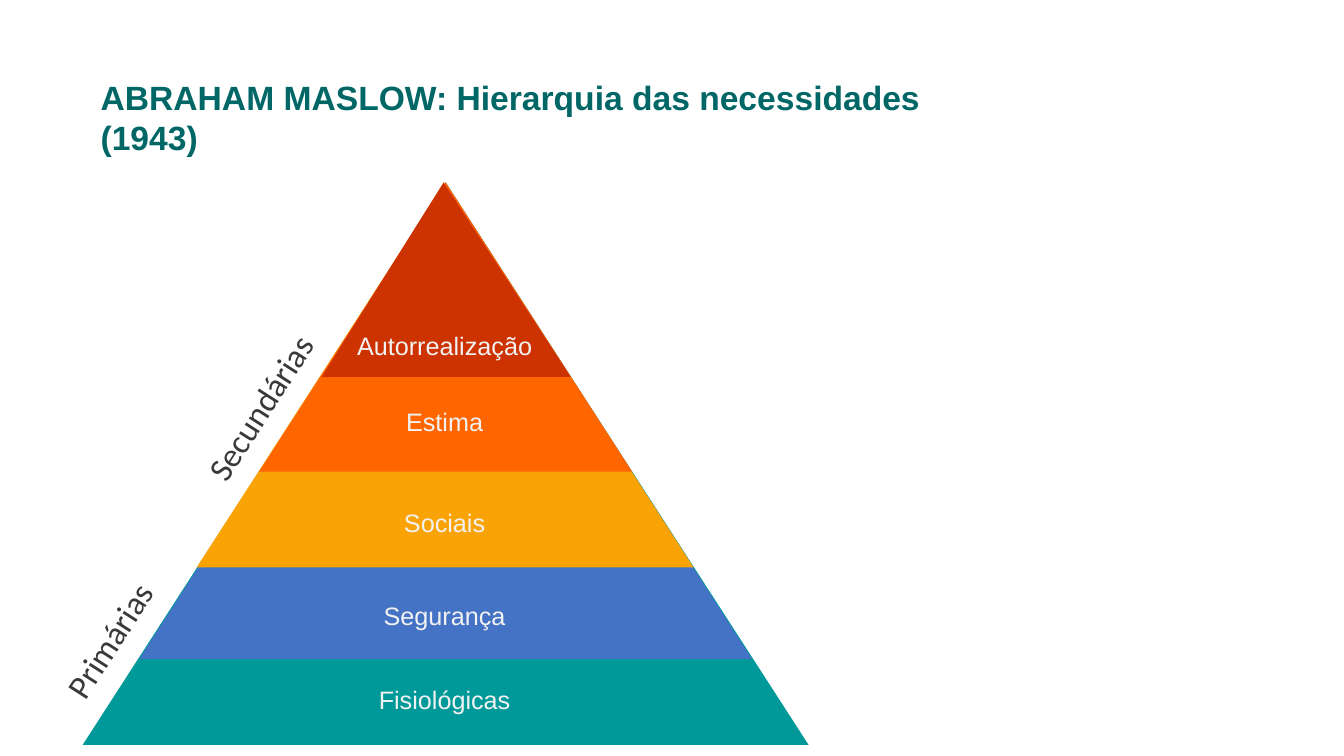
from dataclasses import dataclass

from pptx import Presentation
from pptx.dml.color import RGBColor
from pptx.enum.shapes import MSO_SHAPE as Shape
from pptx.enum.text import MSO_ANCHOR as Anchor, MSO_AUTO_SIZE as AutoSize, PP_ALIGN as Align
from pptx.slide import Slide
from pptx.util import Inches, Pt


@dataclass(frozen=True)
class Theme:
    title: str = "006666"
    level_text: str = "F2F2F2"
    group_text: str = "3A3838"
    font: str = "Arial"
    group_font: str = "Calibri"
    large: int = 24
    small: int = 18


@dataclass(frozen=True)
class Level:
    name: str
    color: str
    left: float
    width: float
    height: float
    text_top: float
    apex: float = 0.5


@dataclass(frozen=True)
class Label:
    text: str
    left: float
    top: float
    width: float
    height: float
    color: str
    size: int
    font: str
    bold: bool = False
    align: Align = Align.CENTER
    rotation: float = 0


THEME = Theme()
PYRAMID_TOP = 1.81
LABEL_CENTER = 4.41
LABEL_WIDTH = 2.0
SLOPE = 302.7

# Widest level first, so that each smaller triangle covers the one below
LEVELS = [
    Level("Fisiológicas", "009999", 0.82, 7.2, 5.58, 6.74),
    Level("Segurança", "4472C4", 1.38, 6.08, 4.73, 5.91),
    Level("Sociais", "F9A307", 1.95, 4.93, 3.82, 4.98),
    Level("Estima", "FF6600", 2.57, 3.7, 2.87, 3.98),
    Level("Autorrealização", "CC3300", 3.19, 2.47, 1.93, 3.23, apex=0.49),
]

TITLE = Label("ABRAHAM MASLOW: Hierarquia das necessidades (1943)",
              0.9, 0.71, 8.76, 0.5, THEME.title, THEME.large, THEME.font,
              bold=True, align=Align.LEFT)

GROUPS = [
    Label(text, left, top, width, 0.5, THEME.group_text, THEME.large,
          THEME.group_font, rotation=SLOPE)
    for text, left, top, width in [("Primárias", 0.26, 6.1, 1.64),
                                   ("Secundárias", 1.57, 3.79, 2.01)]
]


def add_triangle(slide: Slide, level: Level) -> None:
    sp = slide.shapes.add_shape(
        Shape.ISOSCELES_TRIANGLE, Inches(level.left), Inches(PYRAMID_TOP),
        Inches(level.width), Inches(level.height))
    sp.adjustments[0] = level.apex
    sp.shadow.inherit = False
    sp.fill.solid()
    sp.fill.fore_color.rgb = RGBColor.from_string(level.color)
    sp.line.fill.background()


def add_label(slide: Slide, label: Label) -> None:
    sp = slide.shapes.add_textbox(Inches(label.left), Inches(label.top),
                                  Inches(label.width), Inches(label.height))
    sp.rotation = label.rotation
    tf = sp.text_frame
    tf.word_wrap = True
    tf.auto_size = AutoSize.SHAPE_TO_FIT_TEXT
    tf.vertical_anchor = Anchor.TOP
    tf.text = label.text
    p = tf.paragraphs[0]
    p.alignment = label.align
    font = p.runs[0].font
    font.name = label.font
    font.size = Pt(label.size)
    font.bold = label.bold
    font.color.rgb = RGBColor.from_string(label.color)


def level_label(level: Level) -> Label:
    return Label(level.name, LABEL_CENTER - LABEL_WIDTH / 2, level.text_top,
                 LABEL_WIDTH, 0.4, THEME.level_text, THEME.small, THEME.font)


def main() -> None:
    prs = Presentation()
    prs.slide_width, prs.slide_height = Inches(13.33), Inches(7.5)
    slide = prs.slides.add_slide(prs.slide_layouts[6])

    # Title
    add_label(slide, TITLE)

    # Pyramid
    for level in LEVELS:
        add_triangle(slide, level)

    # Level names, then the two groups along the left edge
    for label in [*map(level_label, LEVELS), *GROUPS]:
        add_label(slide, label)

    prs.save("out.pptx")


if __name__ == "__main__":
    main()
